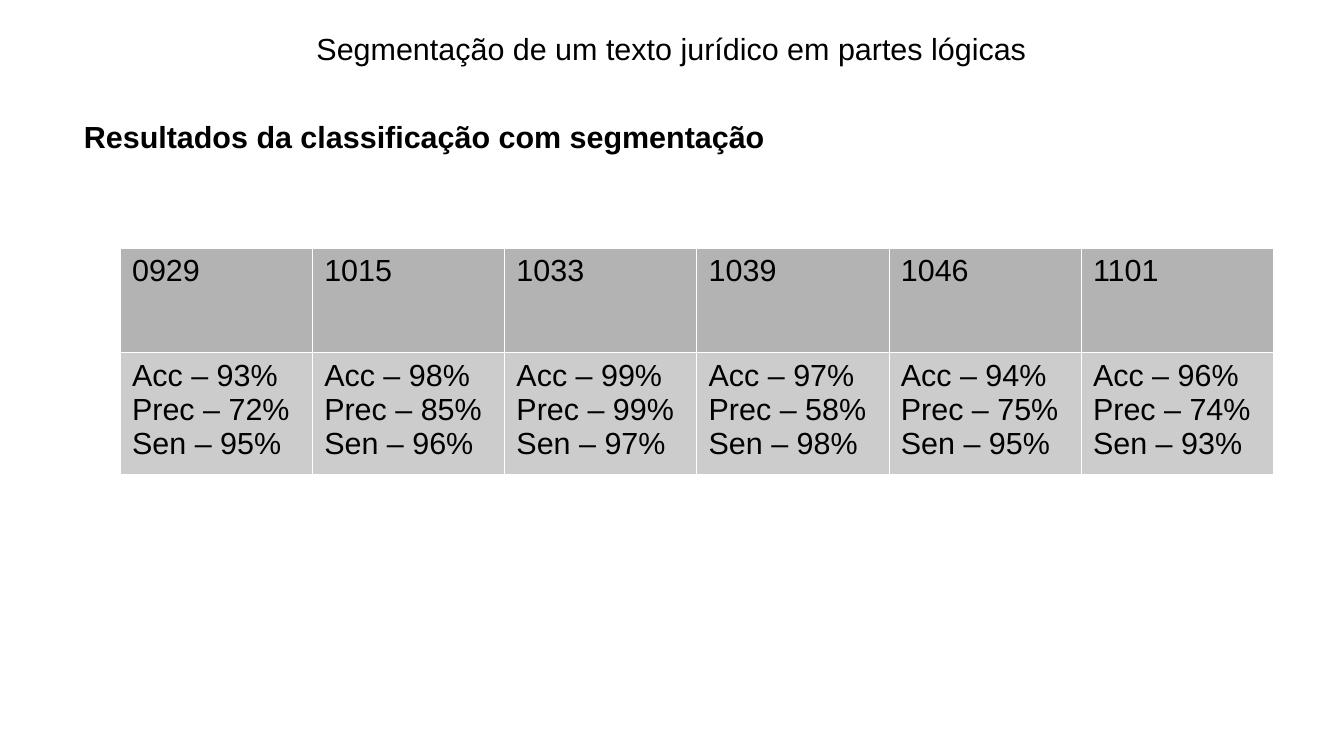
from lxml.etree import SubElement
from pptx import Presentation
from pptx.dml.color import RGBColor
from pptx.enum.text import MSO_ANCHOR as Anchor, MSO_AUTO_SIZE as AutoSize, PP_ALIGN as Align
from pptx.oxml.ns import qn
from pptx.util import Pt

COLORS = {"text": "000000", "header": "B3B3B3", "body": "CCCCCC", "border": "FFFFFF"}
FONT = "Arial"
MEASURES = ("Acc", "Prec", "Sen")
RESULTS = {
    "0929": (93, 72, 95),
    "1015": (98, 85, 96),
    "1033": (99, 99, 97),
    "1039": (97, 58, 98),
    "1046": (94, 75, 95),
    "1101": (96, 74, 93),
}


def write(frame, lines, size=18, bold=False, align=Align.LEFT, spacing=1.0):
    """Fill a text frame with one paragraph per line, in the given format."""
    frame.word_wrap = True
    frame.margin_left = frame.margin_right = Pt(7.2)
    frame.margin_top = frame.margin_bottom = Pt(3.6)
    for index, line in enumerate(lines):
        para = frame.add_paragraph() if index else frame.paragraphs[0]
        para.alignment = align
        para.line_spacing = spacing
        para.space_before = para.space_after = Pt(0)
        span = para.add_run()
        span.text = line
        span.font.name = FONT
        span.font.size = Pt(size)
        span.font.bold = bold
        span.font.color.rgb = RGBColor.from_string(COLORS["text"])


def place_title(page, box, text):
    """Move the title placeholder into the box and write its text."""
    title = page.shapes.title
    title.left, title.top, title.width, title.height = map(Pt, box)
    title.text_frame.auto_size = AutoSize.NONE
    title.text_frame.vertical_anchor = Anchor.TOP
    write(title.text_frame, [text], align=Align.CENTER)


def add_heading(page, box, text):
    """Add the bold heading above the results."""
    heading = page.shapes.add_textbox(*map(Pt, box))
    write(heading.text_frame, [text], bold=True, spacing=1.5)


def style_cell(cell, fill):
    """Give a cell thin borders on all sides and a plain fill."""
    properties = cell._tc.get_or_add_tcPr()
    for side in ("lnL", "lnR", "lnT", "lnB"):
        line = SubElement(properties, qn(f"a:{side}"), w=str(Pt(0.06)))
        solid = SubElement(line, qn("a:solidFill"))
        SubElement(solid, qn("a:srgbClr"), val=COLORS["border"])
    cell.fill.solid()
    cell.fill.fore_color.rgb = RGBColor.from_string(COLORS[fill])


def add_results(page, box, results):
    """Add the table: one column per class, with its measures below."""
    table = page.shapes.add_table(2, len(results), *map(Pt, box)).table
    table.first_row = table.horz_banding = False
    for column, (name, values) in enumerate(results.items()):
        measures = [f"{label} – {value}%" for label, value in zip(MEASURES, values)]
        for row, (fill, lines) in enumerate((("header", [name]), ("body", measures))):
            cell = table.cell(row, column)
            style_cell(cell, fill)
            write(cell.text_frame, lines)


deck = Presentation()
deck.slide_width, deck.slide_height = Pt(793.7), Pt(446.4)
page = deck.slides.add_slide(deck.slide_layouts.get_by_name("Title Only"))
place_title(page, (28, 14.4, 737, 27.4), "Segmentação de um texto jurídico em partes lógicas")
add_heading(page, (42.5, 55.4, 708.5, 309), "Resultados da classificação com segmentação")
add_results(page, (70.8, 146.2, 681, 123.6), RESULTS)
deck.save("out.pptx")
